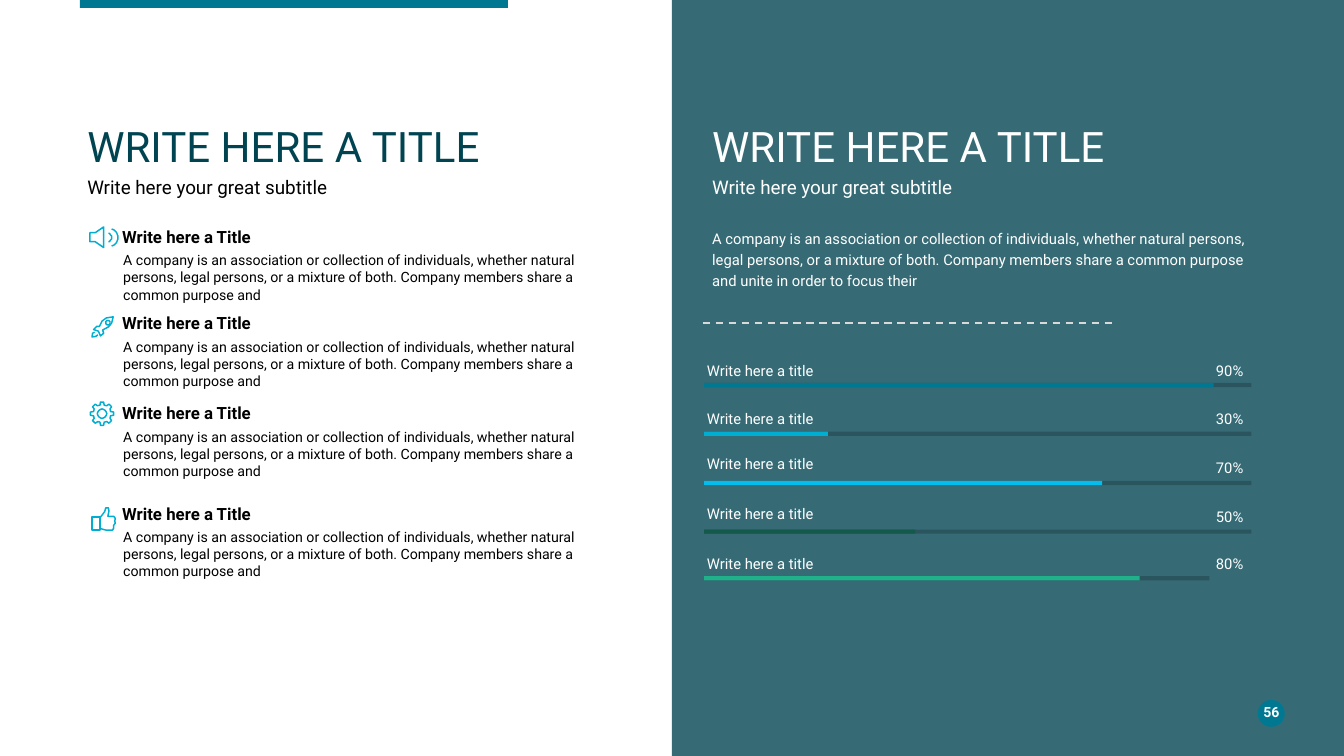
from dataclasses import dataclass
from math import cos, radians, sin

from lxml.etree import SubElement
from pptx import Presentation
from pptx.dml.color import RGBColor
from pptx.enum.dml import MSO_LINE
from pptx.enum.shapes import MSO_CONNECTOR, MSO_SHAPE
from pptx.enum.text import MSO_ANCHOR, MSO_AUTO_SIZE, PP_ALIGN
from pptx.oxml.ns import qn
from pptx.util import Cm, Pt

FONT = "Roboto"
WHITE, BLACK = "FFFFFF", "000000"
NAVY, TEAL, CYAN = "004452", "007891", "00AED2"

HEADING = "WRITE HERE A TITLE"
SUBTITLE = "Write here your great subtitle"
FEATURE_TITLE = "Write here a Title"
FEATURE_TEXT = (
    "A company is an association or collection of individuals, whether natural "
    "persons, legal persons, or a mixture of both. Company members share a "
    "common purpose and"
)
INTRO = FEATURE_TEXT + " unite in order to focus their"


@dataclass
class Progress:
    percent: str
    label_top: float
    percent_top: float
    bar_top: float
    filled: float
    color: str
    track: float = 10.34


PROGRESS = [
    Progress("90%", 6.76, 6.76, 7.24, 9.63, TEAL),
    Progress("30%", 7.67, 7.67, 8.16, 2.34, CYAN),
    Progress("70%", 8.51, 8.59, 9.09, 7.52, "03BDEC"),
    Progress("50%", 9.45, 9.52, 10.01, 3.99, "15584C"),
    Progress("80%", 10.41, 10.41, 10.89, 8.23, "1FB18A", track=9.55),
]


def rgb(color):
    return RGBColor.from_string(color)


def closed(points):
    return points + points[:1]


def arc(cx, cy, rx, ry, start=0, end=360):
    steps = 16
    angles = [radians(start + (end - start) * i / steps) for i in range(steps + 1)]
    return [(cx + rx * cos(a), cy + ry * sin(a)) for a in angles]


def gear_rim(cx, cy):
    """Eight teeth, each given by four corners as (angle offset, radius)."""
    corners = [(-15, 17), (-9, 22), (9, 22), (15, 17)]
    return closed([
        (cx + r * cos(radians(45 * tooth + turn)), cy + r * sin(radians(45 * tooth + turn)))
        for tooth in range(8) for turn, r in corners
    ])


# Icon contours are in hundredths of a centimetre.
SPEAKER = [
    closed([(2, 13), (12, 13), (28, 2), (28, 41), (12, 30), (2, 30)]),
    arc(36, 22, 7, 8, -80, 80),
    arc(41, 22, 14, 16, -80, 80),
]
ROCKET = [
    closed([(41, 2), (28, 4), (20, 10), (15, 20), (10, 20), (4, 26), (13, 29),
            (17, 38), (23, 33), (21, 27), (32, 21), (38, 14)]),
    arc(31, 13, 4, 4),
    [(6, 31), (2, 33), (1, 40), (8, 39), (12, 36)],
]
GEAR = [gear_rim(25, 23), arc(25, 23, 9, 9)]
THUMB = [
    closed([(1, 19), (16, 19), (16, 44), (1, 44)]),
    [(16, 21), (25, 9), (27, 2), (32, 2), (33, 8), (31, 18), (42, 18), (45, 22),
     (44, 27), (45, 31), (42, 35), (42, 40), (40, 44), (27, 44), (16, 41)],
]

# Title top, icon left, icon top, icon contours
FEATURES = [
    (4.19, 1.68, 4.27, SPEAKER),
    (5.82, 1.73, 5.97, ROCKET),
    (7.52, 1.68, 7.59, GEAR),
    (9.42, 1.73, 9.58, THUMB),
]


def add_block(slide, left, top, width, height, color, alpha=100, kind=MSO_SHAPE.RECTANGLE):
    block = slide.shapes.add_shape(kind, Cm(left), Cm(top), Cm(width), Cm(height))
    block.shadow.inherit = False
    block.fill.solid()
    block.fill.fore_color.rgb = rgb(color)
    block.line.fill.background()
    if alpha < 100:
        fill_color = block.fill._xPr.find(qn("a:solidFill"))[0]
        SubElement(fill_color, qn("a:alpha"), val=str(alpha * 1000))


def write(holder, text, size, color, bold=False, align=PP_ALIGN.LEFT, spacing=None,
          inset=(0, 0), anchor=MSO_ANCHOR.TOP):
    frame = holder.text_frame
    frame.word_wrap = True
    frame.auto_size = MSO_AUTO_SIZE.NONE
    frame.vertical_anchor = anchor
    frame.margin_left = frame.margin_right = Cm(inset[0])
    frame.margin_top = frame.margin_bottom = Cm(inset[1])
    paragraph = frame.paragraphs[0]
    paragraph.text = text
    paragraph.alignment = align
    paragraph.line_spacing = spacing
    font = paragraph.font
    font.name, font.size, font.bold = FONT, Pt(size), bold
    font.color.rgb = rgb(color)


def add_text(slide, left, top, width, height, text, size, color, **style):
    box = slide.shapes.add_textbox(Cm(left), Cm(top), Cm(width), Cm(height))
    write(box, text, size, color, **style)


def add_dashed_line(slide, left, right, top):
    line = slide.shapes.add_connector(
        MSO_CONNECTOR.STRAIGHT, Cm(left), Cm(top), Cm(right), Cm(top))
    line.line.color.rgb = rgb("D9D9D9")
    line.line.width = Pt(1)
    line.line.dash_style = MSO_LINE.DASH
    SubElement(line._element.spPr, qn("a:effectLst"))


def add_icon(slide, left, top, contours):
    first, *others = contours
    builder = slide.shapes.build_freeform(*first[0], scale=Cm(0.01))
    builder.add_line_segments(first[1:], close=False)
    for contour in others:
        builder.move_to(*contour[0])
        builder.add_line_segments(contour[1:], close=False)
    icon = builder.convert_to_shape(Cm(left), Cm(top))
    icon.shadow.inherit = False
    icon.fill.background()
    icon.line.color.rgb = rgb(CYAN)
    icon.line.width = Pt(0.8)


def add_feature(slide, top, icon_left, icon_top, contours):
    inset = (0.2, 0.1)
    add_text(slide, 2.13, top + 0.47, 9.47, 1.17, FEATURE_TEXT, 7.6, BLACK, inset=inset)
    add_text(slide, 2.11, top, 3.61, 0.58, FEATURE_TITLE, 9, BLACK, bold=True, inset=inset)
    add_icon(slide, icon_left, icon_top, contours)


def add_progress(slide, item):
    style = {"spacing": Pt(9.6), "inset": (0.15, 0.08)}
    add_text(slide, 22.48, item.percent_top, 1.17, 0.51, item.percent, 7.9, WHITE,
             align=PP_ALIGN.RIGHT, **style)
    add_text(slide, 13.21, item.label_top, 9.27, 0.51, "Write here a title", 7.9, WHITE, **style)
    add_block(slide, 13.31, item.bar_top, item.track, 0.08, BLACK, alpha=20)
    add_block(slide, 13.31, item.bar_top, item.filled, 0.08, item.color)


def main():
    presentation = Presentation()
    presentation.slide_width, presentation.slide_height = Cm(25.4), Cm(14.29)
    slide = presentation.slides.add_slide(presentation.slide_layouts[5])

    title = slide.shapes.title
    title.left, title.top, title.width, title.height = Cm(1.65), Cm(2.46), Cm(9.96), Cm(0.76)
    write(title, HEADING, 22.5, NAVY, spacing=0.8)
    add_text(slide, 1.65, 3.4, 7.21, 0.36, SUBTITLE, 10.1, BLACK, spacing=0.8)
    add_block(slide, 1.51, 0, 8.09, 0.15, TEAL)
    for feature in FEATURES:
        add_feature(slide, *feature)

    add_block(slide, 12.7, 0, 12.7, 14.29, NAVY, alpha=79)
    add_text(slide, 13.46, 2.46, 10.62, 0.76, HEADING, 22.5, WHITE, spacing=0.8)
    add_text(slide, 13.46, 3.4, 9.53, 0.36, SUBTITLE, 10.1, WHITE, spacing=0.8)
    add_text(slide, 13.21, 4.14, 10.87, 1.47, INTRO, 7.9, WHITE, spacing=1.2, inset=(0.25, 0.13))
    add_dashed_line(slide, 13.28, 21.11, 6.1)
    for item in PROGRESS:
        add_progress(slide, item)

    add_block(slide, 23.77, 13.23, 0.51, 0.51, TEAL, kind=MSO_SHAPE.OVAL)
    add_text(slide, 23.65, 13.26, 0.76, 0.41, "56", 7.5, WHITE, bold=True,
             align=PP_ALIGN.CENTER, anchor=MSO_ANCHOR.MIDDLE)
    presentation.save("out.pptx")


if __name__ == "__main__":
    main()
